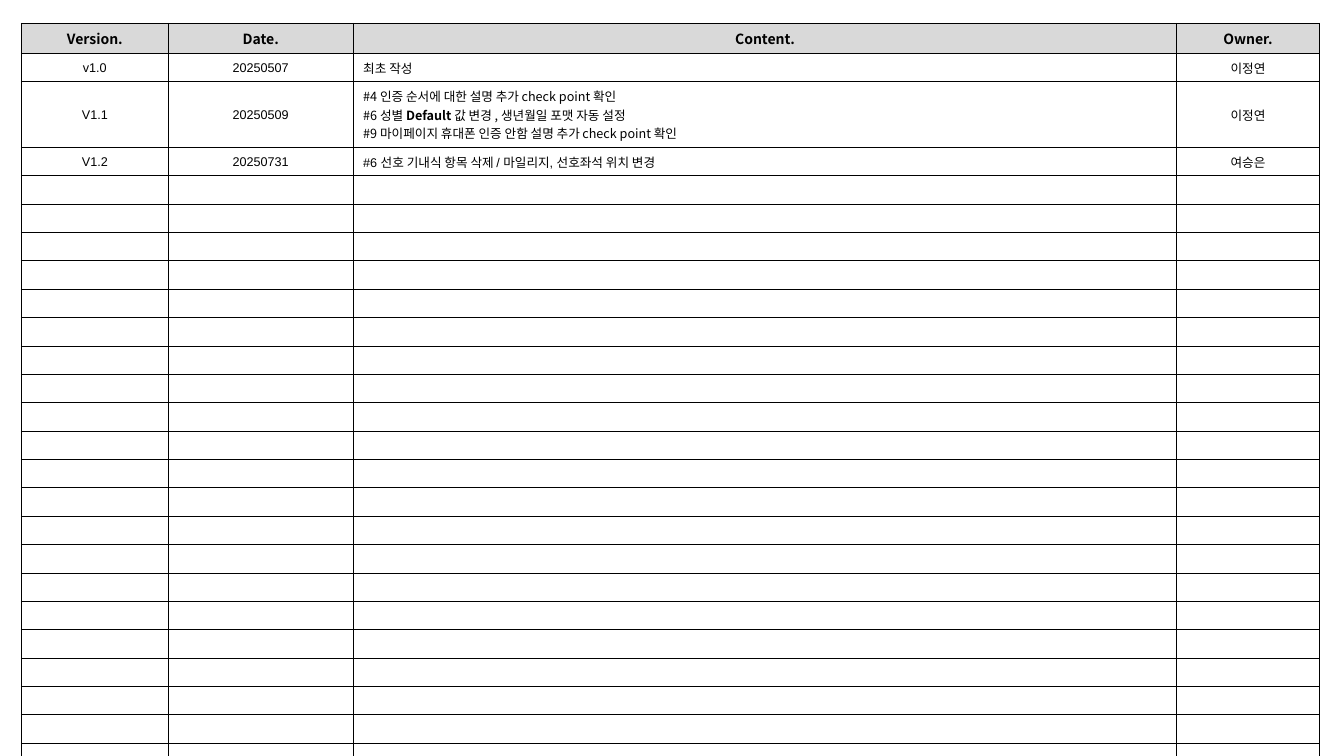
from lxml import etree
from pptx import Presentation
from pptx.dml.color import RGBColor
from pptx.enum.text import MSO_ANCHOR, PP_ALIGN
from pptx.oxml.ns import qn
from pptx.util import Cm, Pt

CENTER, LEFT = PP_ALIGN.CENTER, PP_ALIGN.LEFT
MIDDLE = MSO_ANCHOR.MIDDLE
SANS, ARIAL = "Noto Sans CJK KR", "Arial"
BLACK, GRAY = "000000", "D9D9D9"

COLUMN_WIDTHS = (3.7, 4.66, 20.76, 3.58)
CONTENT_COLUMN = 2
ROW_COUNT = 28
HEADER_HEIGHT, DETAIL_HEIGHT = Cm(0.76), Cm(1.65)
ROW_HEIGHT = Cm(14.31) // 20

HEADERS = ("Version.", "Date.", "Content.", "Owner.")
REVISIONS = (
    (("v1.0", "20250507", [["최초 작성"]], "이정연"),
     (ARIAL, ARIAL, SANS, SANS)),
    (("V1.1", "20250509", [
        ["#4 인증 순서에 대한 설명 추가 check point 확인"],
        ["#6 성별 ", ("Default ", True), "값 변경 , 생년월일 포맷 자동 설정"],
        ["#9 마이페이지 휴대폰 인증 안함 설명 추가 check point 확인"],
    ], "이정연"), (ARIAL, ARIAL, SANS, SANS)),
    (("V1.2", "20250731",
      [["#6 선호 기내식 항목 삭제 / 마일리지, 선호좌석 위치 변경"]], "여승은"),
     (ARIAL, ARIAL, ARIAL, SANS)),
)


def color(value):
    return RGBColor.from_string(value)


def add_text(p, text, font=SANS, size=9, bold=False, fill=BLACK):
    r = p.add_run()
    r.text = text
    r.font.name = font
    r.font.size = Pt(size)
    r.font.bold = bold
    r.font.color.rgb = color(fill)
    etree.SubElement(r.font._element, qn("a:ea"), typeface=SANS)


def add_borders(cell):
    tc_pr = cell._tc.get_or_add_tcPr()
    for side in ("lnL", "lnR", "lnT", "lnB"):
        ln = etree.SubElement(tc_pr, qn(f"a:{side}"), w=str(Pt(0.75)))
        fill = etree.SubElement(ln, qn("a:solidFill"))
        etree.SubElement(fill, qn("a:srgbClr"), val=BLACK)


def format_cell(cell, fill=None):
    cell.margin_top = cell.margin_bottom = Cm(0.12)
    cell.vertical_anchor = MIDDLE
    add_borders(cell)
    if fill:
        cell.fill.solid()
        cell.fill.fore_color.rgb = color(fill)
    else:
        cell.fill.background()


def write_cell(cell, lines, align=CENTER, **style):
    tf = cell.text_frame
    for i, line in enumerate(lines):
        p = tf.add_paragraph() if i else tf.paragraphs[0]
        p.alignment = align
        for part in line:
            text, bold = (part, False) if isinstance(part, str) else part
            add_text(p, text, **{"bold": bold, **style})


def size_empty_cell(cell):
    p = cell.text_frame.paragraphs[0]
    end = etree.SubElement(p._p, qn("a:endParaRPr"), sz="900")
    for tag in ("a:latin", "a:ea"):
        etree.SubElement(end, qn(tag), typeface=SANS)


def add_history_table(s):
    heights = [ROW_HEIGHT] * ROW_COUNT
    heights[0], heights[2] = HEADER_HEIGHT, DETAIL_HEIGHT
    widths = [Cm(w) for w in COLUMN_WIDTHS]
    table = s.shapes.add_table(ROW_COUNT, len(widths), Cm(0.54), Cm(0.59),
                               sum(widths), sum(heights)).table
    table.first_row = table.horz_banding = False
    for column, width in zip(table.columns, widths):
        column.width = width
    for i, (row, height) in enumerate(zip(table.rows, heights)):
        row.height = height
        for cell in row.cells:
            format_cell(cell, fill=None if i else GRAY)
            if i > len(REVISIONS):
                size_empty_cell(cell)
    return table


def main():
    prs = Presentation()
    prs.slide_width, prs.slide_height = Cm(33.87), Cm(19.05)
    s = prs.slides.add_slide(prs.slide_layouts[6])
    table = add_history_table(s)
    for j, header in enumerate(HEADERS):
        write_cell(table.cell(0, j), [[header]], size=10, bold=True)
    for i, (values, fonts) in enumerate(REVISIONS, start=1):
        for j, (value, font) in enumerate(zip(values, fonts)):
            is_content = j == CONTENT_COLUMN
            write_cell(table.cell(i, j), value if is_content else [[value]],
                       align=LEFT if is_content else CENTER, font=font)
    prs.save("out.pptx")


if __name__ == "__main__":
    main()
